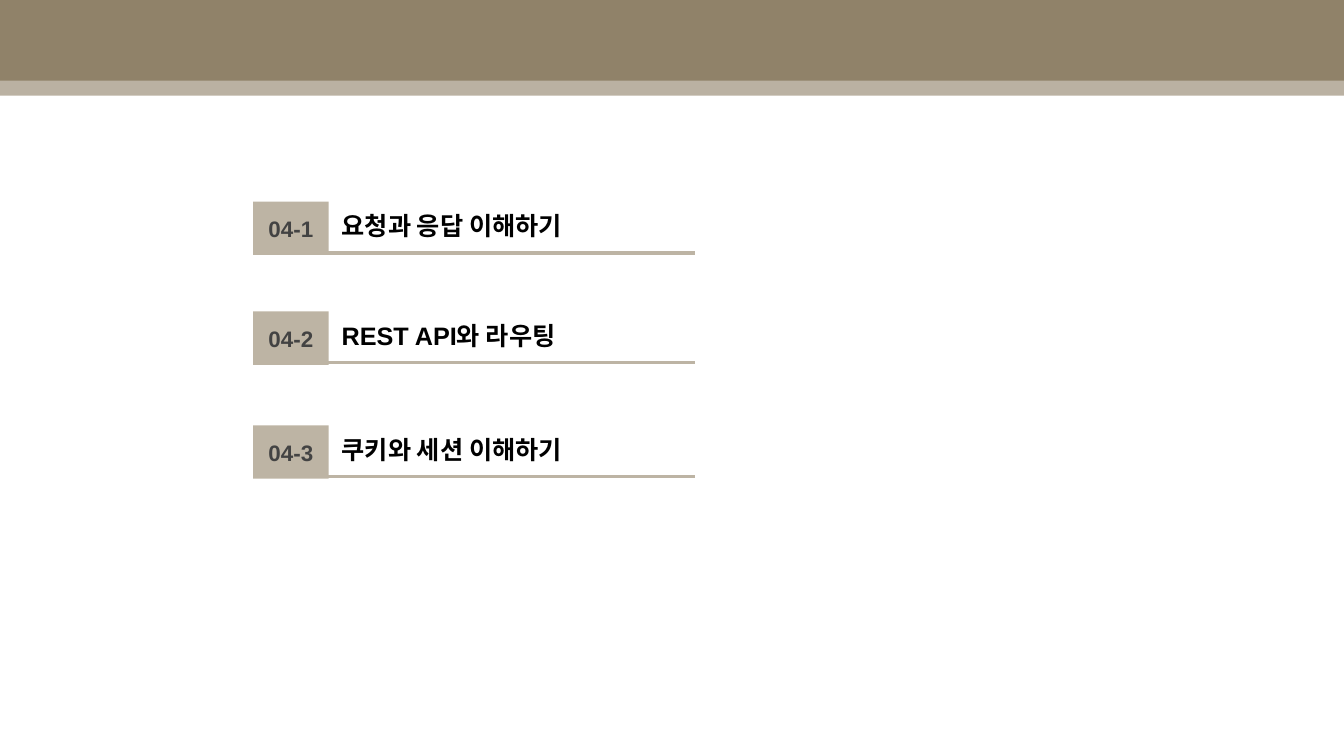
"""Build a chapter contents slide with three numbered sections."""
from lxml.etree import SubElement
from pptx import Presentation
from pptx.dml.color import RGBColor
from pptx.enum.shapes import MSO_CONNECTOR, MSO_SHAPE
from pptx.enum.text import MSO_ANCHOR, PP_ALIGN
from pptx.oxml.ns import qn
from pptx.util import Inches, Pt

SECTIONS = [
    ("04-1", "요청과 응답 이해하기", "Noto Sans CJK KR", 2.0),
    ("04-2", "REST API와 라우팅", "Arial", 3.09),
    ("04-3", "쿠키와 세션 이해하기", "Arial", 4.22),
]
BANDS = [(0, 0.8, 100), (0.65, 0.3, 62)]
THEME = {
    "band": RGBColor.from_string("908269"),
    "accent": RGBColor.from_string("BDB4A4"),
    "number": {"size": Pt(16), "bold": True, "name": "Arial"},
    "number_color": RGBColor.from_string("434343"),
    "title": {"size": Pt(18), "bold": True},
    "title_color": RGBColor.from_string("000000"),
    "east_asian": "Noto Sans CJK KR",
    "rule": Pt(2.25),
}
WIDTH, HEIGHT = 13.33, 7.5
TAG_X, TAG_W, TAG_H = 2.51, 0.75, 0.53
TITLE_X, TITLE_W, TITLE_H, TITLE_DY = 3.29, 4.35, 0.4, 0.04
RULE_X1, RULE_X2, RULE_DY = 3.25, 6.89, 0.51


def add_block(shapes, x, y, w, h, color):
    block = shapes.add_shape(MSO_SHAPE.RECTANGLE, *map(Inches, (x, y, w, h)))
    block.shadow.inherit = False
    block.fill.solid()
    block.fill.fore_color.rgb = color
    block.line.fill.background()
    return block


def write(tf, text, formats, color):
    p = tf.paragraphs[0]
    r = p.add_run()
    r.text = text
    for key, value in formats.items():
        setattr(r.font, key, value)
    r.font.color.rgb = color
    SubElement(r.font._element, qn("a:ea"), typeface=THEME["east_asian"])
    return p


def add_band(s, y, h, opacity):
    band = add_block(s.shapes, 0, y, WIDTH, h, THEME["band"])
    if opacity < 100:
        color = band.fill._xPr.find(qn("a:solidFill"))[0]
        SubElement(color, qn("a:alpha"), val=str(opacity * 1000))


def add_section(s, number, title, font, y):
    shapes = s.shapes.add_group_shape().shapes
    tag = add_block(shapes, TAG_X, y, TAG_W, TAG_H, THEME["accent"])
    tag.text_frame.vertical_anchor = MSO_ANCHOR.MIDDLE
    p = write(tag.text_frame, number, THEME["number"], THEME["number_color"])
    p.alignment = PP_ALIGN.CENTER

    box = shapes.add_textbox(*map(Inches, (TITLE_X, y + TITLE_DY, TITLE_W, TITLE_H)))
    box.text_frame.word_wrap = True
    write(box.text_frame, title, THEME["title"] | {"name": font}, THEME["title_color"])

    ends = (RULE_X1, y + RULE_DY, RULE_X2, y + RULE_DY)
    rule = shapes.add_connector(MSO_CONNECTOR.STRAIGHT, *map(Inches, ends))
    rule.line.color.rgb = THEME["accent"]
    rule.line.width = THEME["rule"]
    SubElement(rule._element.spPr, qn("a:effectLst"))


def main():
    prs = Presentation()
    prs.slide_width, prs.slide_height = Inches(WIDTH), Inches(HEIGHT)
    s = prs.slides.add_slide(prs.slide_layouts[6])
    for band in BANDS:
        add_band(s, *band)
    for section in SECTIONS:
        add_section(s, *section)
    prs.save("out.pptx")


if __name__ == "__main__":
    main()
